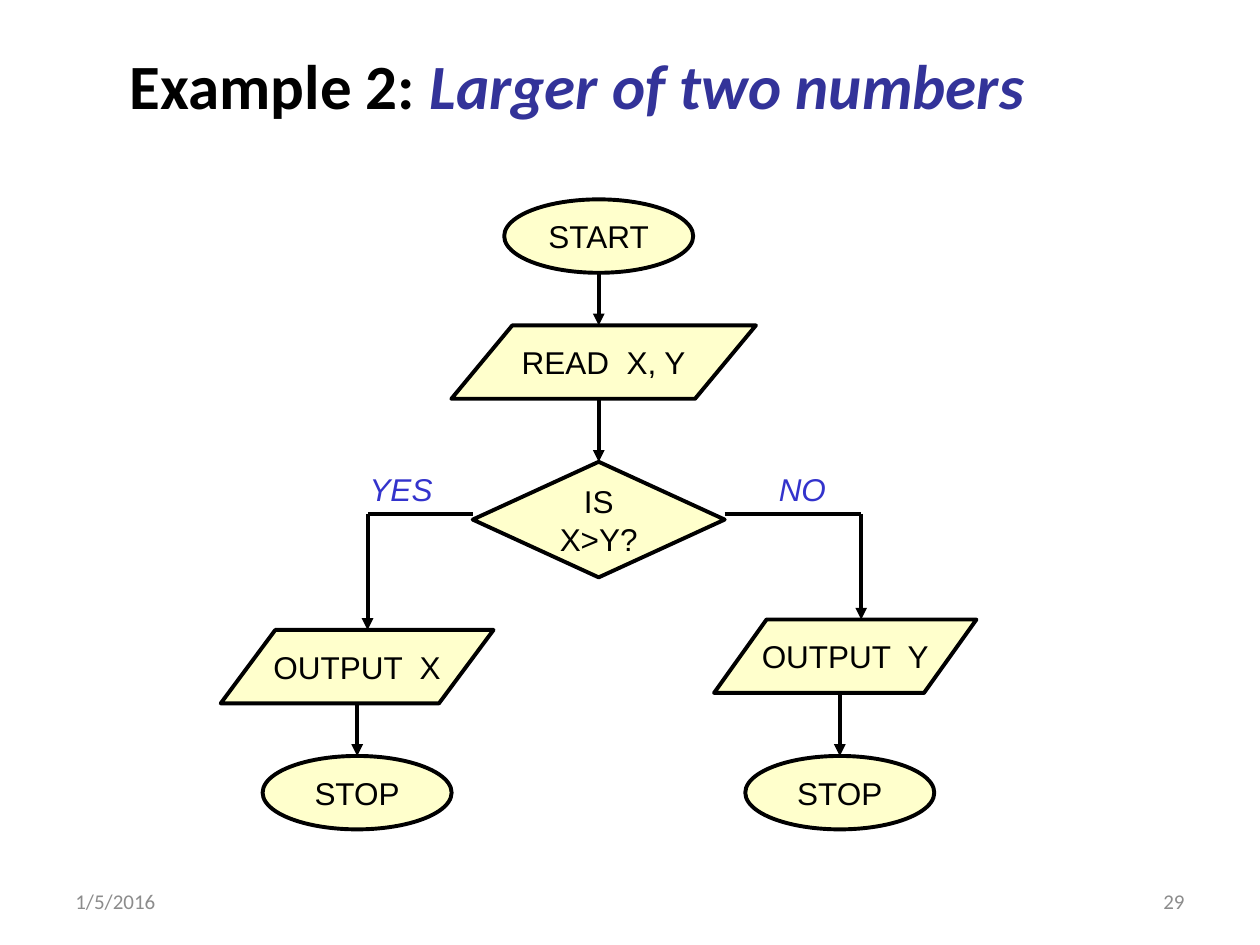
from lxml import etree
from pptx import Presentation
from pptx import util as u
from pptx.dml.color import RGBColor
from pptx.enum import shapes, text
from pptx.oxml import ns

BLACK = RGBColor(0x00, 0x00, 0x00)
CREAM = RGBColor(0xFF, 0xFF, 0xCC)
NAVY = RGBColor(0x33, 0x33, 0x99)
BLUE = RGBColor(0x33, 0x33, 0xCC)
GREY = RGBColor(0x8C, 0x8C, 0x8C)

KIND = shapes.MSO_SHAPE
ALIGN = text.PP_ALIGN
TOP = text.MSO_ANCHOR.TOP
MIDDLE = text.MSO_ANCHOR.MIDDLE

HEAD = dict(name="Calibri", size=u.Pt(36), bold=True, color=BLACK)
NODE = dict(name="Arial", size=u.Pt(18), color=BLACK)
LABEL = {**NODE, "italic": True, "color": BLUE}
FOOT = dict(name="Calibri", size=u.Pt(12), color=GREY)


class Chart:
    """Flowchart style and the slide it is drawn on."""

    line = u.Pt(2.25)
    high = 1.48

    def __init__(self, slide):
        self.slide = slide
        self.shapes = slide.shapes

    def style(self, run, form):
        for key, value in form.items():
            if key == "color":
                run.font.color.rgb = value
            else:
                setattr(run.font, key, value)

    def put(self, para, words, form, align):
        para.alignment = align
        run = para.add_run()
        run.text = words
        self.style(run, form)

    def title(self, box, *parts):
        head = self.shapes.title
        head.left, head.top, head.width, head.height = map(u.Cm, box)
        head.text_frame.vertical_anchor = MIDDLE
        for words, form in parts:
            self.put(head.text_frame.paragraphs[0], words, form, ALIGN.CENTER)

    def note(self, words, left, top, wide, form, align=ALIGN.LEFT, anchor=TOP):
        box = self.shapes.add_textbox(*map(u.Cm, (left, top, wide, 1.02)))
        frame = box.text_frame
        frame.word_wrap = True
        frame.vertical_anchor = anchor
        self.put(frame.paragraphs[0], words, form, align)

    def node(self, kind, words, mid, top, wide, high=high):
        """Add a flowchart step centred on mid."""
        step = self.shapes.add_shape(kind, *map(u.Cm, (mid - wide / 2, top, wide, high)))
        step.shadow.inherit = False
        step.fill.solid()
        step.fill.fore_color.rgb = CREAM
        step.line.color.rgb = BLACK
        step.line.width = self.line
        frame = step.text_frame
        frame.word_wrap = False
        frame.vertical_anchor = MIDDLE
        for i, row in enumerate(words.split("\n")):
            para = frame.add_paragraph() if i else frame.paragraphs[0]
            self.put(para, row, NODE, ALIGN.CENTER)
        return step

    def link(self, x1, y1, x2, y2, arrow=True):
        wire = self.shapes.add_connector(
            shapes.MSO_CONNECTOR.STRAIGHT, *map(u.Cm, (x1, y1, x2, y2)))
        wire.line.color.rgb = BLACK
        wire.line.width = self.line
        props = wire._element.spPr
        if arrow:
            etree.SubElement(props.find(ns.qn("a:ln")), ns.qn("a:tailEnd"), type="triangle")
        etree.SubElement(props, ns.qn("a:effectLst"))
        return wire


def main():
    deck = Presentation()
    deck.slide_width, deck.slide_height = u.Cm(25.4), u.Cm(19.05)
    chart = Chart(deck.slides.add_slide(deck.slide_layouts[5]))
    high = chart.high

    # Title and footer
    chart.title((0.84, 0.43, 21.59, 2.54), ("Example 2: ", HEAD),
                ("Larger of two numbers", {**HEAD, "italic": True, "color": NAVY}))
    chart.note("1/5/2016", 1.27, 17.65, 5.92, FOOT, anchor=MIDDLE)
    chart.note("29", 18.21, 17.65, 5.92, FOOT, ALIGN.RIGHT, MIDDLE)

    # Main trunk
    mid, start, read, test, wide = 12.07, 4.02, 6.56, 9.31, 5.08
    chart.node(KIND.OVAL, "START", mid, start, 3.81)
    chart.node(KIND.FLOWCHART_DATA, "READ  X, Y", 12.17, read, 6.14)
    choice = chart.node(KIND.FLOWCHART_DECISION, "IS\nX>Y?", mid, test, wide, 2.33)
    chart.link(mid, start + high, mid, read)
    chart.link(mid, read + high, mid, test).end_connect(choice, 0)

    # Branches: side, label, label left, corner, output, centre, top, width, stop centre
    turn, stop = 10.37, 15.24
    for side, label, left, bend, out, axis, top, span, end in (
            (-1, "YES", 7.2, 7.41, "OUTPUT  X", 7.2, 12.7, 5.5, 7.2),
            (1, "NO", 15.45, 17.36, "OUTPUT  Y", 17.04, 12.49, 5.29, 16.93)):
        chart.node(KIND.FLOWCHART_DATA, out, axis, top, span)
        chart.node(KIND.OVAL, "STOP", end, stop, 3.81)
        chart.link(mid + side * wide / 2, turn, bend, turn, arrow=False)
        chart.link(bend, turn, bend, top)
        chart.link(end, top + high, end, stop)
        chart.note(label, left, 9.35, 2.97, LABEL)

    deck.save("out.pptx")


if __name__ == "__main__":
    main()
